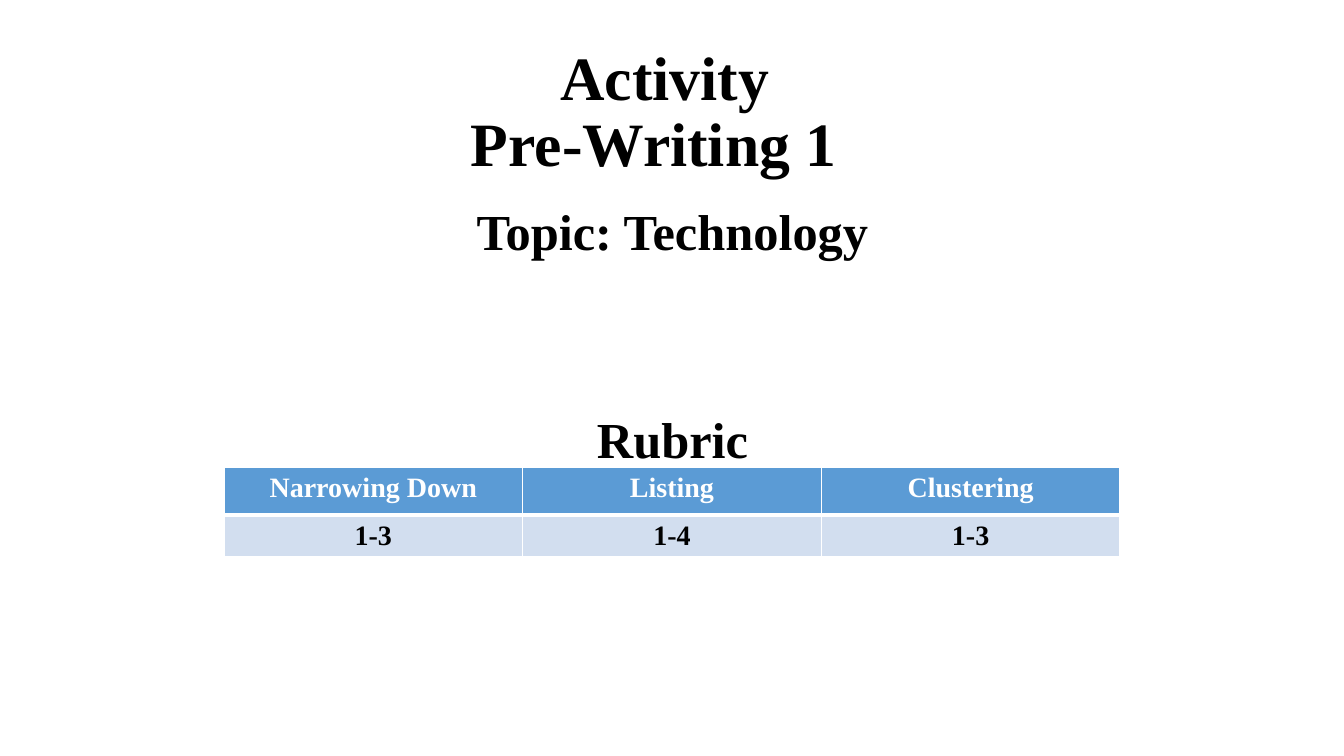
from lxml import etree
from pptx import Presentation
from pptx.dml.color import RGBColor
from pptx.enum.text import MSO_ANCHOR as Anchor, MSO_AUTO_SIZE as Fit, PP_ALIGN as Align
from pptx.oxml.ns import qn
from pptx.util import Inches, Pt

BLACK = RGBColor(0x00, 0x00, 0x00)
WHITE = RGBColor(0xFF, 0xFF, 0xFF)
BLUE = RGBColor(0x5B, 0x9B, 0xD5)
PALE = RGBColor(0xD2, 0xDE, 0xEF)
FONT = "Times New Roman"
WIDE, HIGH = 13.33, 7.5
RUBRIC = (
    (0.47, BLUE, WHITE, 3, ("Narrowing Down", "Listing", "Clustering")),
    (0.41, PALE, BLACK, 1, ("1-3", "1-4", "1-3")),
)


def write(para, text, size, color=BLACK):
    """Add one bold run to a centred paragraph."""
    para.alignment = Align.CENTER
    run = para.add_run()
    run.text = text
    font = run.font
    font.name, font.size, font.bold = FONT, Pt(size), True
    font.color.rgb = color


def place(shape, box, anchor):
    """Fit a placeholder to its box and return its text frame."""
    shape.left, shape.top, shape.width, shape.height = map(Inches, box)
    frame = shape.text_frame
    frame.auto_size = Fit.NONE
    frame.word_wrap = True
    frame.vertical_anchor = anchor
    return frame


def head(slide, box):
    """Put the two-line title in its box."""
    para = place(slide.shapes.title, box, Anchor.MIDDLE).paragraphs[0]
    para.line_spacing = 0.9
    write(para, "Activity ", 44)
    para.add_line_break()
    write(para, "Pre-Writing 1\t", 44)


def body(slide, box):
    """Put the topic and the rubric heading in the body box."""
    frame = place(slide.placeholders[1], box, Anchor.TOP)
    lines = (("Topic: Technology", 10), ("Rubric", 110))
    for i, (text, gap) in enumerate(lines):
        para = frame.add_paragraph() if i else frame.paragraphs[0]
        para.line_spacing, para.space_before = 0.9, Pt(gap)
        write(para, text, 36)
        props = para._p.get_or_add_pPr()
        props.set("marL", "0")
        props.set("indent", "0")
        etree.SubElement(props, qn("a:buNone"))


def edge(cell, side, width):
    """Draw one white border of a cell."""
    line = etree.SubElement(cell._tc.get_or_add_tcPr(), qn(f"a:ln{side}"), w=str(Pt(width)))
    fill = etree.SubElement(line, qn("a:solidFill"))
    etree.SubElement(fill, qn("a:srgbClr"), val=str(WHITE))


def rubric(slide, box):
    """Fill the rubric table row by row."""
    cols = len(RUBRIC[0][-1])
    table = slide.shapes.add_table(len(RUBRIC), cols, *map(Inches, box)).table
    above = 1
    for r, (tall, fill, ink, below, words) in enumerate(RUBRIC):
        table.rows[r].height = Inches(tall)
        for c, word in enumerate(words):
            cell = table.cell(r, c)
            for side, width in zip("LRTB", (1, 1, above, below)):
                edge(cell, side, width)
            cell.fill.solid()
            cell.fill.fore_color.rgb = fill
            write(cell.text_frame.paragraphs[0], word, 20, ink)
        above = below


def main():
    """Build and save the slide."""
    deck = Presentation()
    deck.slide_width, deck.slide_height = Inches(WIDE), Inches(HIGH)
    slide = deck.slides.add_slide(deck.slide_layouts[1])
    left, span = 0.92, 11.5
    head(slide, (left, 0.4, span, 1.45))
    body(slide, (left, 2, span, 4.76))
    rubric(slide, (WIDE / 6, 4.64, WIDE * 2 / 3, sum(row[0] for row in RUBRIC)))
    deck.save("out.pptx")


if __name__ == "__main__":
    main()
